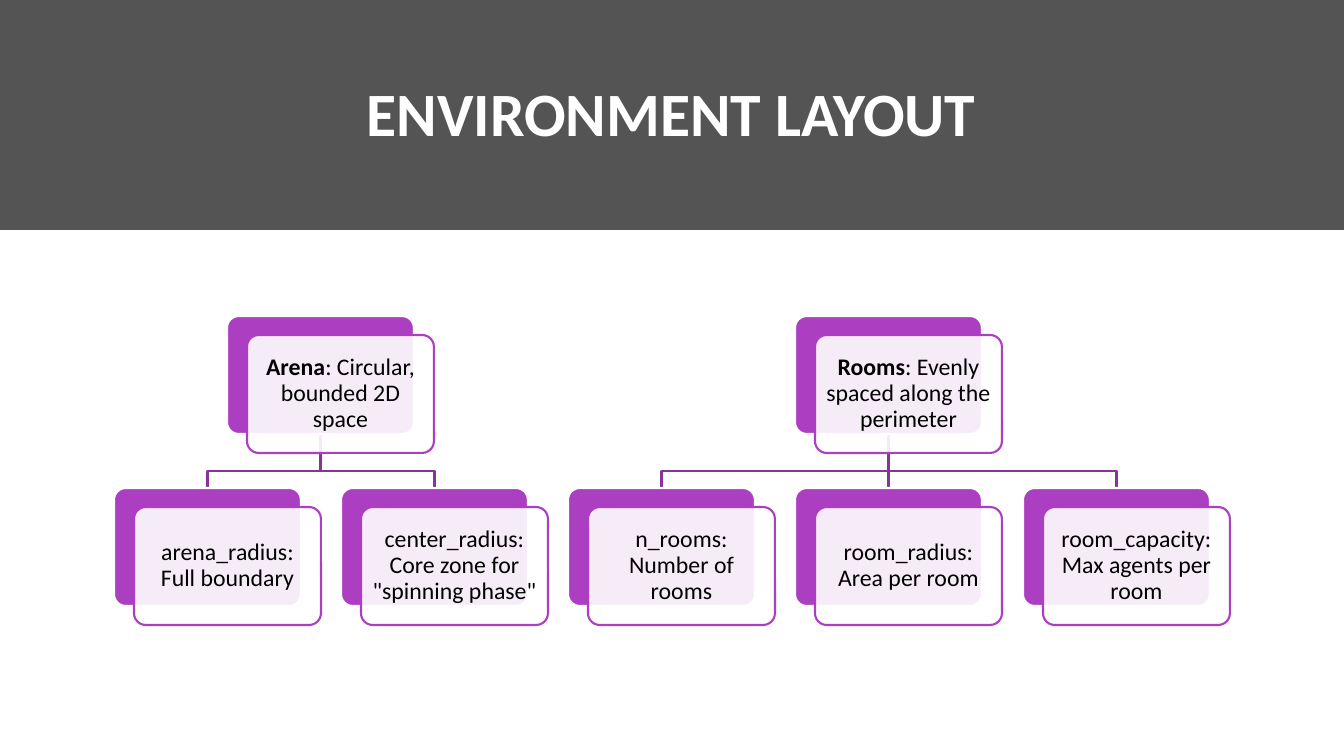
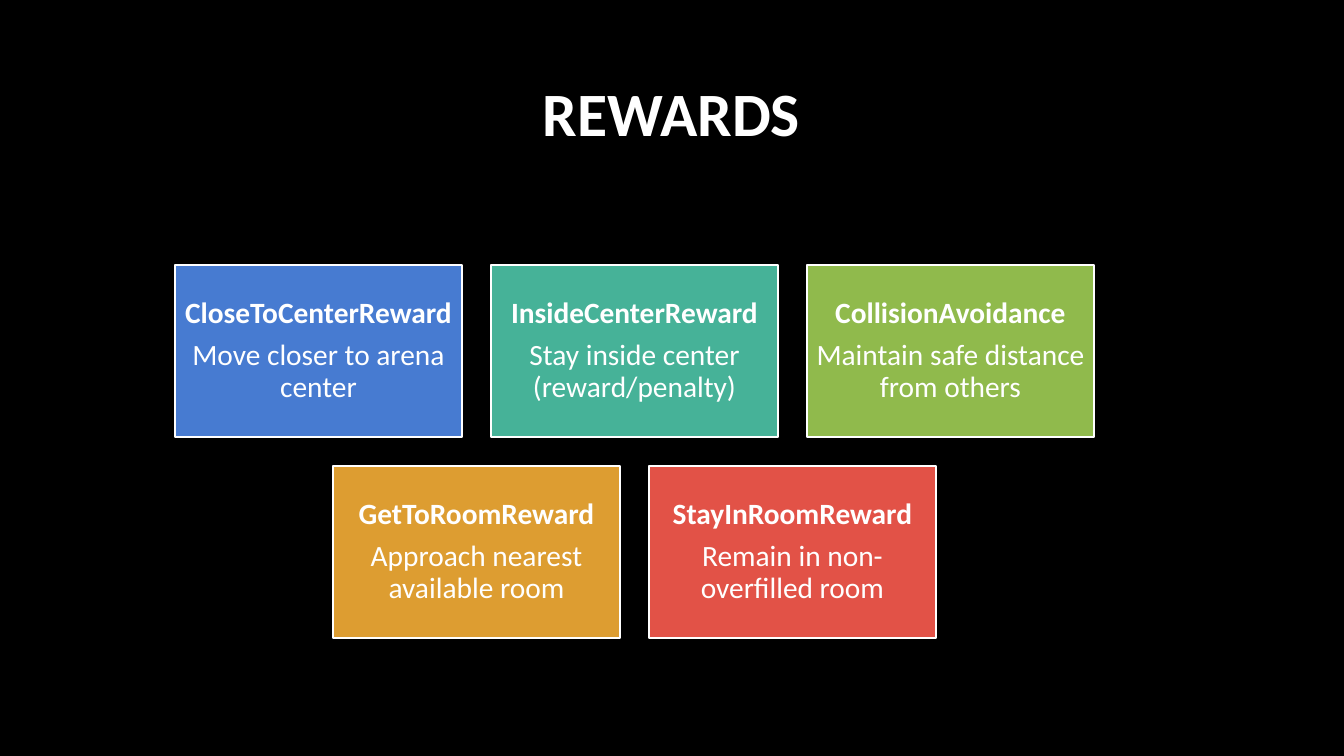
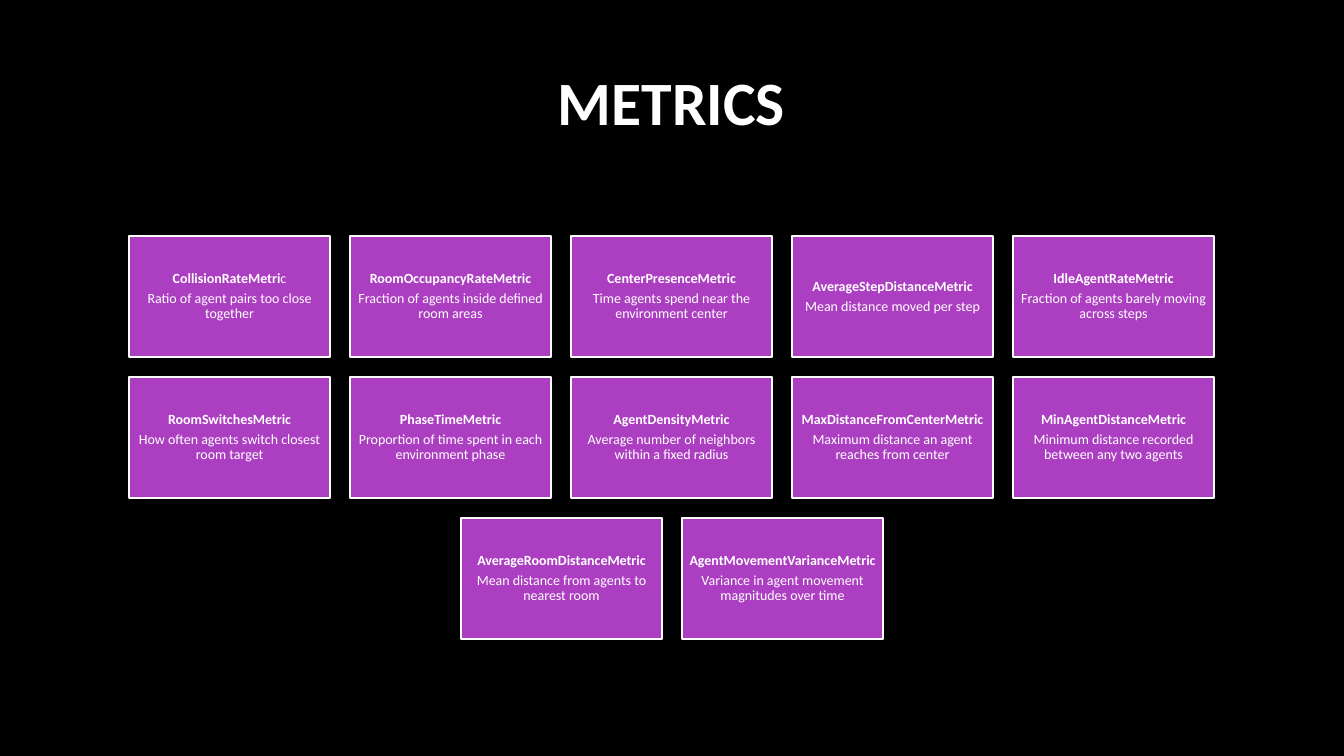
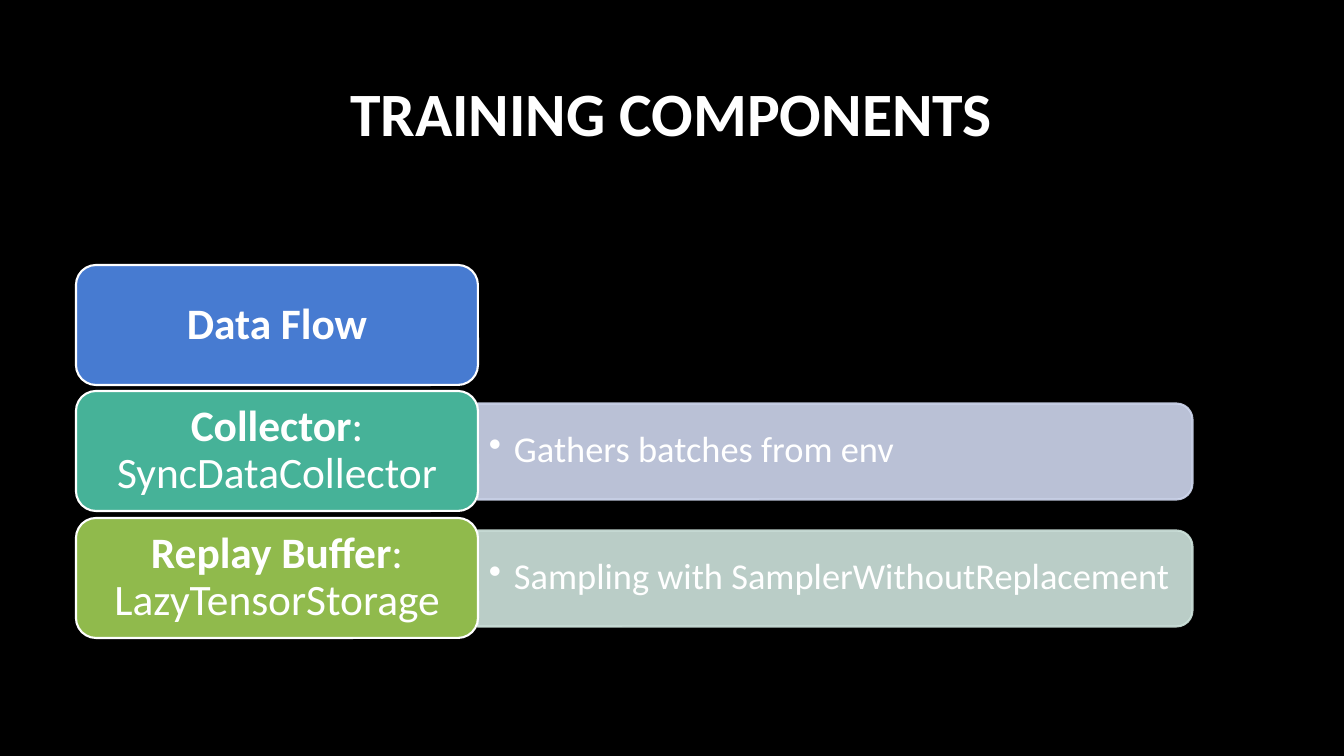
import lxml.etree
import pptx
import pptx.dml.color
import pptx.enum.shapes
import pptx.enum.text
import pptx.oxml.ns
import pptx.util

PX = 12192000 / 1344
FONT = "Calibri"
COLOURS = {
    "black": "000000",
    "white": "FFFFFF",
    "purple": "AC3EC1",
    "link": "8A329B",
    "blue": "477BD1",
    "teal": "46B298",
    "green": "90BA4C",
    "amber": "DD9D31",
    "red": "E25247",
    "pale blue": "CFD7EE",
    "pale teal": "CFE4DD",
}
RGB = {name: pptx.dml.color.RGBColor.from_string(code) for name, code in COLOURS.items()}
KINDS = pptx.enum.shapes.MSO_SHAPE
CENTER = pptx.enum.text.PP_ALIGN.CENTER
LEFT = pptx.enum.text.PP_ALIGN.LEFT
qn = pptx.oxml.ns.qn


def draw_shape(page, kind, frame, fill, line=None, opacity=100):
    """Add a shape; frame is left, top, width, height in px, opacity a percentage."""
    shape = page.shapes.add_shape(kind, *[round(length * PX) for length in frame])
    shape.shadow.inherit = False
    shape.fill.solid()
    shape.fill.fore_color.rgb = RGB[fill]
    if line:
        shape.line.color.rgb = RGB[line]
        shape.line.width = pptx.util.Pt(1.5)
    else:
        shape.line.fill.background()
    if opacity < 100:
        for colour in shape.element.spPr.iter(qn("a:srgbClr")):
            if colour.get("val") == COLOURS[fill]:
                lxml.etree.SubElement(colour, qn("a:alpha"), val=str(opacity * 1000))
    return shape


def write_text(box, lines, size, insets, colour="white", align=CENTER, spacing=0.9, after=0.35):
    """Fill a box; each line reads "bold|plain", insets are horizontal and vertical px."""
    across, down = [round(inset * PX) for inset in insets]
    frame_format = {
        "word_wrap": True,
        "vertical_anchor": pptx.enum.text.MSO_ANCHOR.MIDDLE,
        "margin_left": across,
        "margin_right": across,
        "margin_top": down,
        "margin_bottom": down,
    }
    para_format = {
        "alignment": align,
        "line_spacing": spacing,
        "space_after": pptx.util.Pt(size * after),
    }
    for name, value in frame_format.items():
        setattr(box.text_frame, name, value)
    for index, line in enumerate(lines):
        para = box.text_frame.paragraphs[0] if index == 0 else box.text_frame.add_paragraph()
        for name, value in para_format.items():
            setattr(para, name, value)
        strong, _, plain = line.partition("|")
        for text, bold in ((strong, True), (plain, False)):
            if text:
                span = para.add_run()
                span.text = text
                span_format = {"name": FONT, "size": pptx.util.Pt(size), "bold": bold}
                for name, value in span_format.items():
                    setattr(span.font, name, value)
                span.font.color.rgb = RGB[colour]


deck = pptx.Presentation()
deck.slide_width = round(1344 * PX)
deck.slide_height = round(756 * PX)

# Background, band and title of every slide
HEADERS = [
    ("ENVIRONMENT LAYOUT", "white", 230, 45),
    ("REWARDS", "black", 230, 45),
    ("METRICS", "black", 204, 34),
    ("TRAINING COMPONENTS", "black", 230, 45),
]
pages = []
for title, background, band_height, title_top in HEADERS:
    page = deck.slides.add_slide(deck.slide_layouts[6])
    page.background.fill.solid()
    page.background.fill.fore_color.rgb = RGB[background]
    draw_shape(page, KINDS.RECTANGLE, (0, 0, 1344, band_height), "black", opacity=67)
    title_frame = (113, title_top, 1117, 134)
    title_box = page.shapes.add_textbox(*[round(length * PX) for length in title_frame])
    write_text(title_box, [title], 44, (10, 5), spacing=1.0, after=0)
    pages.append(page)
layout_page, rewards_page, metrics_page, training_page = pages

# Environment layout: two trees of stacked cards
CARD_WIDTH, CARD_HEIGHT = 187, 118
PARENT_TOP, CHILD_TOP, BRANCH_Y = 316, 488, 471
column_lefts = [114 + 909 * column // 4 for column in range(5)]
TREES = [
    ("Arena|: Circular, bounded 2D space", column_lefts[:2], [
        "|arena_radius: Full boundary",
        '|center_radius: Core zone for "spinning phase"',
    ]),
    ("Rooms|: Evenly spaced along the perimeter", column_lefts[2:], [
        "|n_rooms: Number of rooms",
        "|room_radius: Area per room",
        "|room_capacity: Max agents per room",
    ]),
]
cards = []
for parent, lefts, children in TREES:
    parent_left = (lefts[0] + lefts[-1]) // 2
    cards.append((parent, parent_left, PARENT_TOP))
    cards += [(child, left, CHILD_TOP) for child, left in zip(children, lefts)]
    start_x = round((parent_left + CARD_WIDTH / 2) * PX)
    start_y, branch_y, end_y = [
        round(y * PX) for y in (PARENT_TOP + CARD_HEIGHT, BRANCH_Y, CHILD_TOP)
    ]
    for left in lefts:
        end_x = round((left + CARD_WIDTH / 2) * PX)
        if end_x == start_x:
            link = layout_page.shapes.add_connector(
                pptx.enum.shapes.MSO_CONNECTOR.STRAIGHT, start_x, start_y, end_x, end_y)
            lxml.etree.SubElement(link.element.spPr, qn("a:effectLst"))
        else:
            outline = layout_page.shapes.build_freeform(start_x, start_y)
            outline.add_line_segments(
                [(start_x, branch_y), (end_x, branch_y), (end_x, end_y)], close=False)
            link = outline.convert_to_shape()
            link.shadow.inherit = False
            link.fill.background()
        link.line.color.rgb = RGB["link"]
        link.line.width = pptx.util.Pt(1.5)
for text, left, top in cards:
    back = draw_shape(layout_page, KINDS.ROUNDED_RECTANGLE,
                      (left, top, CARD_WIDTH, CARD_HEIGHT), "purple", "white")
    front = draw_shape(layout_page, KINDS.ROUNDED_RECTANGLE,
                       (left + 20, top + 19, CARD_WIDTH, CARD_HEIGHT), "white", "purple", 90)
    for card in (back, front):
        card.adjustments[0] = 0.1
    write_text(front, [text], 17, (7, 7), "black")

# Rewards and metrics: rows of tiles centred on one axis
REWARDS = [
    [
        ("CloseToCenterReward", "Move closer to arena center", "blue"),
        ("InsideCenterReward", "Stay inside center (reward/penalty)", "teal"),
        ("CollisionAvoidance", "Maintain safe distance from others", "green"),
    ],
    [
        ("GetToRoomReward", "Approach nearest available room", "amber"),
        ("StayInRoomReward", "Remain in non-overfilled room", "red"),
    ],
]
METRICS = [
    [
        ("CollisionRateMetri|c", "Ratio of agent pairs too close together", "purple"),
        ("RoomOccupancyRateMetric", "Fraction of agents inside defined room areas", "purple"),
        ("CenterPresenceMetric", "Time agents spend near the environment center", "purple"),
        ("AverageStepDistanceMetric", "Mean distance moved per step", "purple"),
        ("IdleAgentRateMetric", "Fraction of agents barely moving across steps", "purple"),
    ],
    [
        ("RoomSwitchesMetric", "How often agents switch closest room target", "purple"),
        ("PhaseTimeMetric", "Proportion of time spent in each environment phase", "purple"),
        ("AgentDensityMetric", "Average number of neighbors within a fixed radius", "purple"),
        ("MaxDistanceFromCenterMetric", "Maximum distance an agent reaches from center", "purple"),
        ("MinAgentDistanceMetric", "Minimum distance recorded between any two agents", "purple"),
    ],
    [
        ("AverageRoomDistanceMetric", "Mean distance from agents to nearest room", "purple"),
        ("AgentMovementVarianceMetric", "Variance in agent movement magnitudes over time", "purple"),
    ],
]
TILE_GRIDS = [
    # page, rows, axis, top, width, height, gap, text size, inset
    (rewards_page, REWARDS, 635, 265, 287, 172, 29, 21, 8),
    (metrics_page, METRICS, 672, 236, 201, 121, 20, 10, 4),
]
for page, rows, axis, top, width, height, gap, size, inset in TILE_GRIDS:
    for row, tiles in enumerate(rows):
        row_width = len(tiles) * (width + gap) - gap
        row_left = (2 * axis - row_width) // 2
        for column, (name, description, colour) in enumerate(tiles):
            frame = (row_left + column * (width + gap), top + row * (height + gap), width, height)
            tile = draw_shape(page, KINDS.RECTANGLE, frame, colour, "white")
            write_text(tile, [name, "|" + description], size, (inset, inset))

# Training components: labels with a detail bar to the right
COMPONENTS = [
    ("Data Flow", "blue", None, None),
    ("Collector|: SyncDataCollector", "teal", "Gathers batches from env", "pale blue"),
    ("Replay Buffer|: LazyTensorStorage", "green",
     "Sampling with SamplerWithoutReplacement", "pale teal"),
]
LABEL_LEFT, LABEL_WIDTH, LABEL_HEIGHT = 76, 402, 120
BAR_LEFT, BAR_LENGTH, BAR_HEIGHT = LABEL_LEFT + LABEL_WIDTH, 715, 96
for row, (label, colour, detail, bar_colour) in enumerate(COMPONENTS):
    top = 265 + 253 * row // 2
    if detail:
        middle = top + LABEL_HEIGHT // 2
        bar_frame = (BAR_LEFT + (BAR_LENGTH - BAR_HEIGHT) // 2, middle - BAR_LENGTH // 2,
                     BAR_HEIGHT, BAR_LENGTH)
        bar = draw_shape(training_page, KINDS.ROUND_2_SAME_RECTANGLE, bar_frame,
                         bar_colour, bar_colour, 90)
        bar.rotation = 90
        detail_frame = (BAR_LEFT, middle - 43, 710, 86)
        detail_box = training_page.shapes.add_textbox(
            *[round(length * PX) for length in detail_frame])
        bullet = detail_box.text_frame.paragraphs[0]._p.get_or_add_pPr()
        bullet.set("marL", str(round(25 * PX)))
        bullet.set("indent", str(round(-25 * PX)))
        lxml.etree.SubElement(bullet, qn("a:buChar"), char="•")
        write_text(detail_box, ["|" + detail], 26, (11, 5), align=LEFT, after=0.15)
    label_box = draw_shape(training_page, KINDS.ROUNDED_RECTANGLE,
                           (LABEL_LEFT, top, LABEL_WIDTH, LABEL_HEIGHT), colour, "white")
    write_text(label_box, [label], 31, (13, 6))

deck.save("out.pptx")
